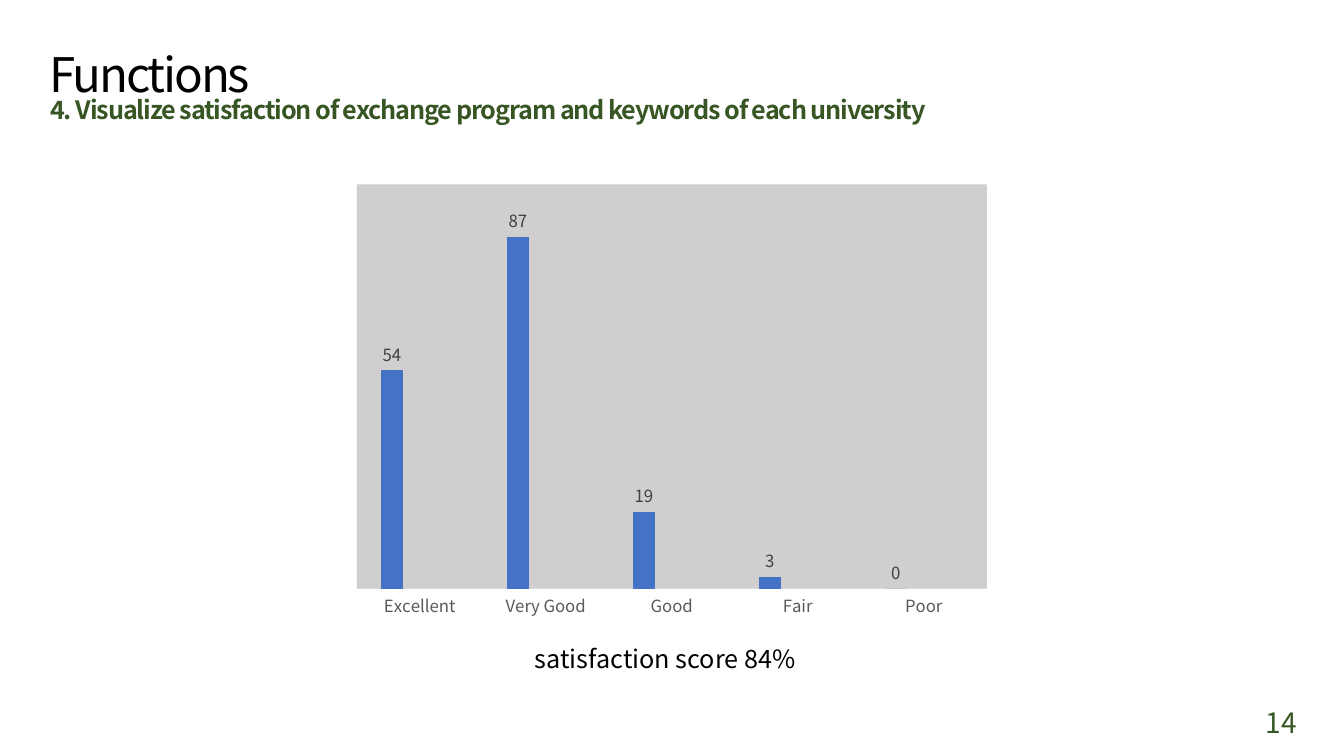
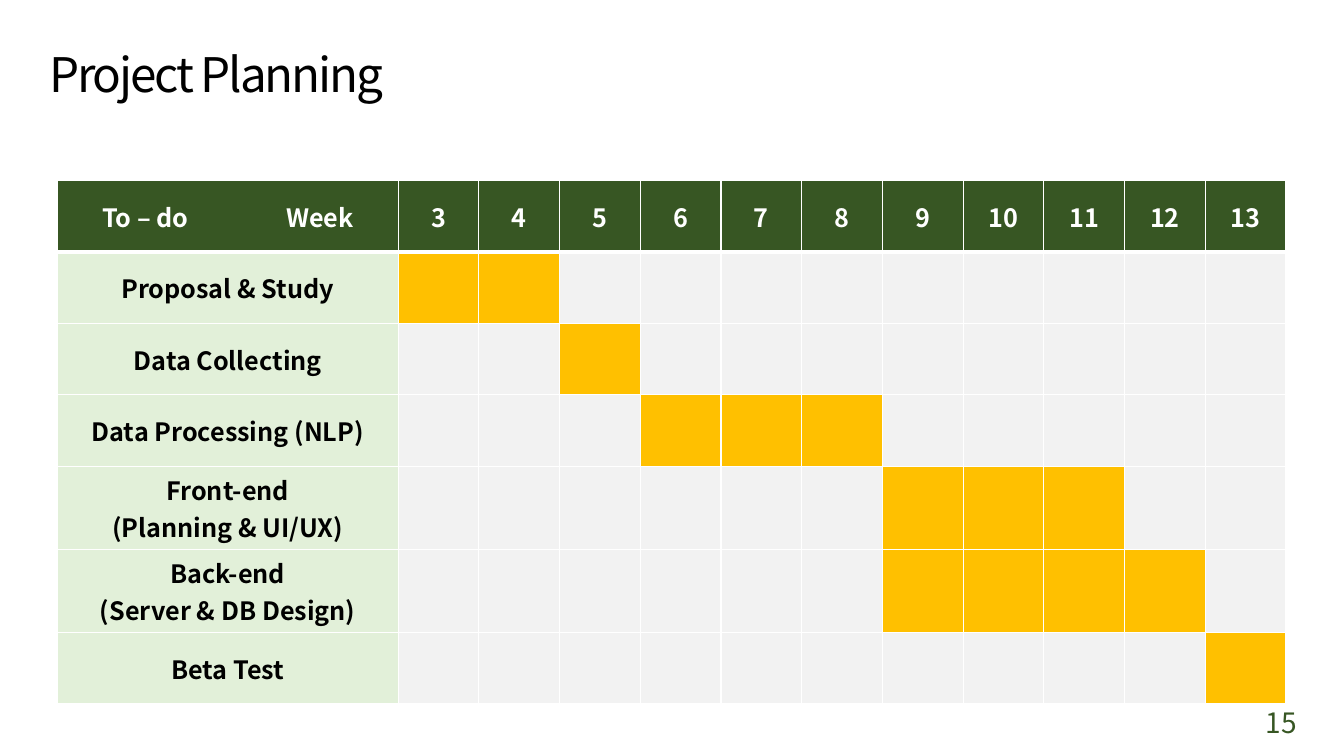
from dataclasses import dataclass

from lxml.etree import SubElement
from pptx import Presentation
from pptx.chart.data import CategoryChartData
from pptx.dml.color import RGBColor
from pptx.enum.chart import XL_CHART_TYPE, XL_LABEL_POSITION, XL_TICK_LABEL_POSITION, XL_TICK_MARK
from pptx.enum.text import MSO_ANCHOR, MSO_AUTO_SIZE, PP_ALIGN
from pptx.oxml import parse_xml
from pptx.oxml.ns import nsdecls, qn
from pptx.util import Pt


@dataclass(frozen=True)
class Theme:
    font: str = "Noto Sans CJK KR"
    # Colours
    black: str = "000000"
    white: str = "FFFFFF"
    green: str = "375623"
    pale_green: str = "E2F0D9"
    amber: str = "FFC000"
    pale_gray: str = "F2F2F2"
    plot_gray: str = "D0CECE"
    axis_gray: str = "D9D9D9"
    category_text: str = "595959"
    label_text: str = "404040"
    series: tuple = ("4472C4", "ED7D31", "A5A5A5")
    # Type sizes
    title_size: int = 34
    number_size: int = 20
    body_size: int = 18
    chart_size: int = 12


THEME = Theme()


def rgb(value):
    return RGBColor.from_string(value)


def set_attributes(target, **values):
    for name, value in values.items():
        setattr(target, name, value)


def set_fill(fill, color):
    fill.solid()
    fill.fore_color.rgb = rgb(color)


def set_font(font, size, color, bold=False):
    set_attributes(font, name=THEME.font, size=Pt(size), bold=bold)
    font.color.rgb = rgb(color)


class Deck:
    """Holds the presentation, its style and the current slide."""

    def __init__(self):
        self.presentation = Presentation()
        set_attributes(self.presentation, slide_width=Pt(960), slide_height=Pt(540))
        self.slide = None

    def new_slide(self, title, number):
        self.slide = self.presentation.slides.add_slide(self.presentation.slide_layouts[6])
        self.text(title, (28, 28.5, 265, 48), THEME.title_size, THEME.black,
                  spacing=-1.5, wrap=False, anchor=MSO_ANCHOR.MIDDLE)
        self.text(str(number), (897, 500.5, 54, 29), THEME.number_size, THEME.green)

    def text(self, text, box, size, color, bold=False, spacing=0, wrap=True,
             anchor=MSO_ANCHOR.TOP):
        shape = self.slide.shapes.add_textbox(*map(Pt, box))
        set_attributes(shape.text_frame, word_wrap=wrap, vertical_anchor=anchor,
                       auto_size=MSO_AUTO_SIZE.NONE if wrap else MSO_AUTO_SIZE.SHAPE_TO_FIT_TEXT)
        run = shape.text_frame.paragraphs[0].add_run()
        run.text = text
        set_font(run.font, size, color, bold)
        if spacing:
            run._r.get_or_add_rPr().set("spc", str(round(spacing * 100)))

    def column_chart(self, box, categories, series_values, maximum):
        data = CategoryChartData()
        data.categories = categories
        for number, values in enumerate(series_values, 1):
            data.add_series(f"Series {number}", values)
        frame = self.slide.shapes.add_chart(XL_CHART_TYPE.COLUMN_CLUSTERED, *map(Pt, box), data)
        chart = frame.chart
        set_attributes(chart, has_legend=False, has_title=False)
        set_font(chart.font, THEME.chart_size, THEME.black)

        # Axes
        set_attributes(chart.value_axis, visible=False, has_major_gridlines=False,
                       minimum_scale=0, maximum_scale=maximum)
        axis = chart.category_axis
        set_attributes(axis, major_tick_mark=XL_TICK_MARK.NONE, has_major_gridlines=False,
                       tick_label_position=XL_TICK_LABEL_POSITION.NEXT_TO_AXIS)
        set_font(axis.tick_labels.font, THEME.chart_size, THEME.category_text)
        axis.format.line.width = Pt(0.75)
        axis.format.line.color.rgb = rgb(THEME.axis_gray)

        # Columns and their labels
        plot = chart.plots[0]
        set_attributes(plot, gap_width=219, overlap=-27, vary_by_categories=False)
        for series, color in zip(plot.series, THEME.series):
            set_fill(series.format.fill, color)
            labels = series.data_labels
            set_attributes(labels, show_value=True, position=XL_LABEL_POSITION.OUTSIDE_END)
            set_font(labels.font, THEME.chart_size, THEME.label_text)

        # Plot background
        plot_area = chart._chartSpace.find(qn("c:chart")).find(qn("c:plotArea"))
        plot_area.append(parse_xml(
            f'<c:spPr {nsdecls("c", "a")}><a:solidFill><a:srgbClr val="{THEME.plot_gray}"/>'
            "</a:solidFill><a:ln><a:noFill/></a:ln></c:spPr>"))

    def cell(self, cell, fill, lines=(), color=THEME.black, top=1, bottom=1):
        set_fill(cell.fill, fill)
        cell.vertical_anchor = MSO_ANCHOR.MIDDLE
        if lines:
            cell.text = "\n".join(lines)
        for paragraph in cell.text_frame.paragraphs:
            paragraph.alignment = PP_ALIGN.CENTER
            for run in paragraph.runs:
                set_font(run.font, THEME.body_size, color, True)
        properties = cell._tc.get_or_add_tcPr()
        borders = {"lnL": 1, "lnR": 1, "lnT": top, "lnB": bottom}
        for index, (side, width) in enumerate(borders.items()):
            properties.insert(index, parse_xml(
                f'<a:{side} {nsdecls("a")} w="{Pt(width)}"><a:solidFill>'
                f'<a:srgbClr val="{THEME.white}"/></a:solidFill></a:{side}>'))

    def schedule(self, left, top, label_width, week_width, row_heights, header, weeks, tasks):
        # Row heights are given by the number of lines in the label
        heights = [row_heights[1]] + [row_heights[len(lines)] for lines, _, _ in tasks]
        width = label_width + week_width * len(weeks)
        table = self.slide.shapes.add_table(len(heights), len(weeks) + 1, Pt(left), Pt(top),
                                            Pt(width), Pt(sum(heights))).table
        for index, column in enumerate(table.columns):
            column.width = Pt(week_width if index else label_width)
        for row, height in zip(table.rows, heights):
            row.height = Pt(height)

        # Header row, its first cell split by a tab stop
        for index, label in enumerate([header, *map(str, weeks)]):
            self.cell(table.cell(0, index), THEME.green, [label], THEME.white, bottom=3)
        corner = table.cell(0, 0)
        corner.margin_left = Pt(32)
        paragraph = corner.text_frame.paragraphs[0]
        paragraph.alignment = PP_ALIGN.LEFT
        tabs = SubElement(paragraph._p.get_or_add_pPr(), qn("a:tabLst"))
        SubElement(tabs, qn("a:tab"), pos=str(Pt(131.5)), algn="l")

        # One row for each task, with its weeks filled
        for row, (lines, first, last) in enumerate(tasks, 1):
            line_above = 3 if row == 1 else 1
            self.cell(table.cell(row, 0), THEME.pale_green, lines, top=line_above)
            for column, week in enumerate(weeks, 1):
                fill = THEME.amber if first <= week <= last else THEME.pale_gray
                self.cell(table.cell(row, column), fill, top=line_above)


def main():
    deck = Deck()

    # Satisfaction chart
    deck.new_slide("Functions", 14)
    categories = ["Excellent", "Very Good", "Good", "Fair", "Poor"]
    no_values = [None] * len(categories)
    deck.column_chart((245.5, 125.3, 468.7, 322.6), categories,
                      [[54, 87, 19, 3, 0], no_values, no_values], maximum=100)
    deck.text("satisfaction score 84%", (375, 456, 215, 29), THEME.body_size, THEME.black)
    deck.text("4. Visualize satisfaction of exchange program and keywords of each university",
              (28.8, 64, 644, 29), THEME.body_size, THEME.green,
              bold=True, spacing=-0.8, wrap=False)

    # Project schedule: task lines, first week, last week
    deck.new_slide("Project Planning", 15)
    tasks = [
        (["Proposal & Study"], 3, 4),
        (["Data Collecting"], 5, 5),
        (["Data Processing (NLP)"], 6, 8),
        (["Front-end", "(Planning & UI/UX)"], 9, 11),
        (["Back-end", "(Server & DB Design)"], 9, 12),
        (["Beta Test"], 13, 13),
    ]
    deck.schedule(41, 129, 243.4, 57.67, {1: 51, 2: 59.4}, "To – do\tWeek",
                  range(3, 14), tasks)

    deck.presentation.save("out.pptx")


if __name__ == "__main__":
    main()
